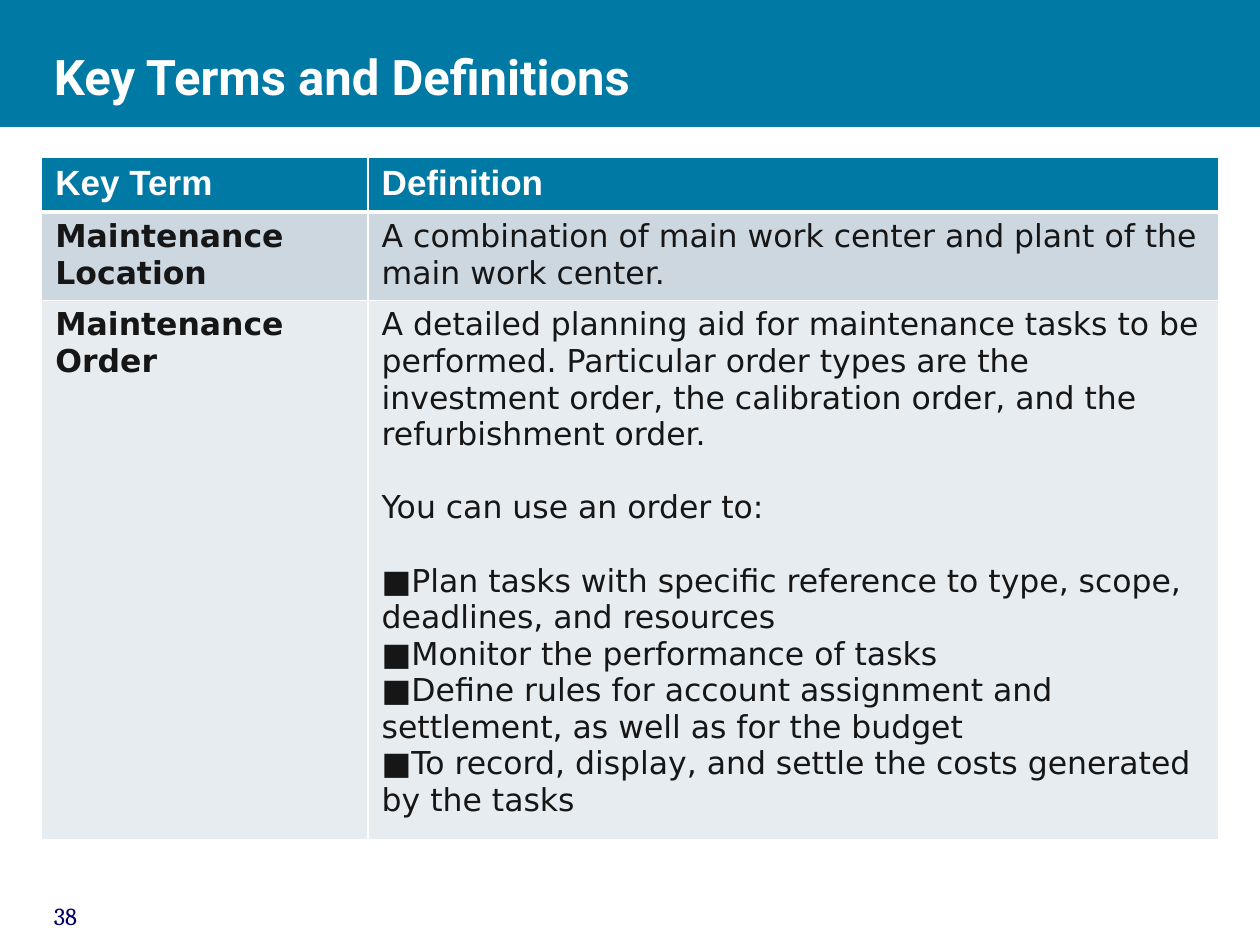
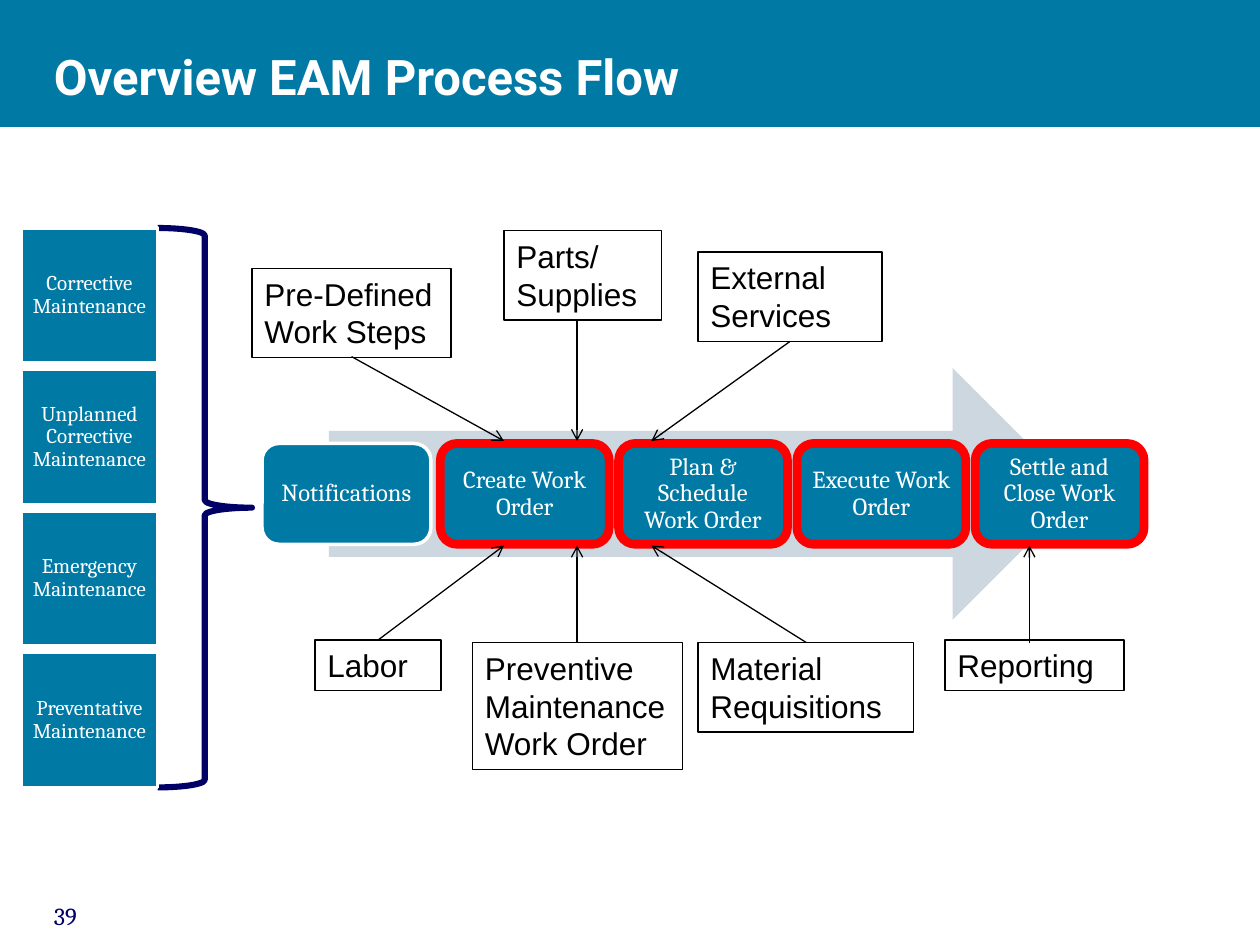
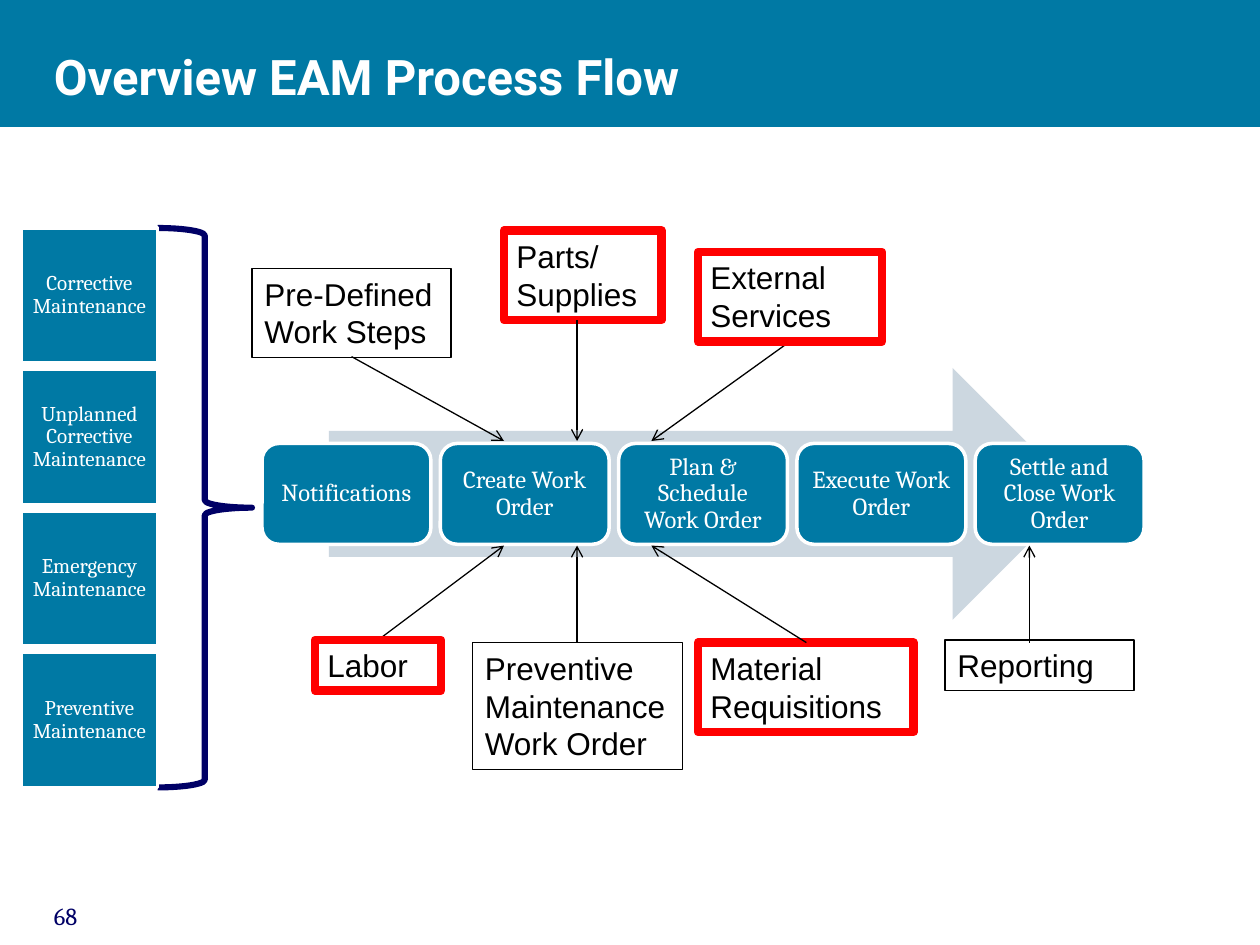
from dataclasses import dataclass

from lxml.etree import SubElement
from pptx import Presentation
from pptx.dml.color import RGBColor
from pptx.enum.shapes import MSO_CONNECTOR, MSO_SHAPE
from pptx.enum.text import MSO_ANCHOR, PP_ALIGN
from pptx.oxml.ns import qn
from pptx.shapes.autoshape import Shape
from pptx.slide import Slide
from pptx.table import _Cell
from pptx.text.text import TextFrame
from pptx.util import Inches, Pt

TEAL = RGBColor(0x00, 0x79, 0xA4)
PALE = RGBColor(0xCC, 0xD7, 0xE0)
MIST = RGBColor(0xE7, 0xEC, 0xF0)
NAVY = RGBColor(0x00, 0x00, 0x66)
RED = RGBColor(0xFF, 0x00, 0x00)
INK = RGBColor(0x16, 0x16, 0x16)
BLACK = RGBColor(0x00, 0x00, 0x00)
WHITE = RGBColor(0xFF, 0xFF, 0xFF)


@dataclass(frozen=True)
class Look:
    """Type style of a text."""
    name: str
    size: float
    color: RGBColor
    bold: bool = False


@dataclass(frozen=True)
class Box:
    """Place of a shape in inches."""
    left: float
    top: float
    width: float
    height: float

    def emu(self) -> list[int]:
        """Give the four lengths for python-pptx."""
        return [Inches(n) for n in (self.left, self.top, self.width, self.height)]


@dataclass(frozen=True)
class Label:
    """Boxed input or output with its arrow."""
    text: str
    box: Box
    start: tuple[float, float]
    end: tuple[float, float]
    over: bool = False


@dataclass(frozen=True)
class Flow:
    """What differs between the process slides."""
    page: int
    last: str
    hot: frozenset[str]
    report: float


TITLE = Look("Roboto", 28, WHITE, True)
PAGE = Look("Cambria", 14, NAVY)
STEP = Look("Cambria", 14, WHITE)
KIND = Look("Cambria", 12, WHITE)
NOTE = Look("Arial", 18, BLACK)
HEAD = Look("Arial", 20, WHITE, True)
TERM = Look("DejaVu Sans", 18, INK, True)
BODY = Look("DejaVu Sans", 18, INK)

STEPS = ["Notifications", "Create Work Order", "Plan & Schedule Work Order",
         "Execute Work Order", "Settle and Close Work Order"]
KINDS = ["Corrective Maintenance", "Unplanned Corrective Maintenance",
         "Emergency Maintenance"]
HIGH, LOW = 3.5, 4.33
FLOWS = [
    Flow(39, "Preventative Maintenance", frozenset(STEPS[1:]), 1.42),
    Flow(68, "Preventive Maintenance",
         frozenset(["Labor", "Parts/ Supplies", "External Services",
                    "Material Requisitions"]), 1.5),
]
ROWS = [
    ("Maintenance Location",
     ["A combination of main work center and plant of the main work center."]),
    ("Maintenance Order",
     ["A detailed planning aid for maintenance tasks to be performed. Particular "
      "order types are the investment order, the calibration order, and the "
      "refurbishment order.",
      "You can use an order to:",
      "■Plan tasks with specific reference to type, scope, deadlines, and resources",
      "■Monitor the performance of tasks",
      "■Define rules for account assignment and settlement, as well as for the budget",
      "■To record, display, and settle the costs generated by the tasks"]),
]


def write(frame: TextFrame, lines: list[str], look: Look, align=PP_ALIGN.LEFT,
          space: float = 1.0, gaps: tuple[int, ...] = ()) -> None:
    """Fill a frame, with a line of space before the paragraphs in gaps."""
    for i, line in enumerate(lines):
        para = frame.paragraphs[0] if i == 0 else frame.add_paragraph()
        para.text = line
        form = {"alignment": align, "line_spacing": space}
        if i in gaps:
            form["space_before"] = Pt(21)
        for key, value in form.items():
            setattr(para, key, value)
        font = para.runs[0].font
        for key, value in {"name": look.name, "size": Pt(look.size),
                           "bold": look.bold}.items():
            setattr(font, key, value)
        font.color.rgb = look.color


def fit(frame: TextFrame, anchor: MSO_ANCHOR, pad: float | None = None) -> None:
    """Set wrap, anchor and equal margins."""
    form = {"word_wrap": True, "vertical_anchor": anchor}
    if pad is not None:
        sides = ("left", "top", "right", "bottom")
        form |= {f"margin_{side}": Inches(pad) for side in sides}
    for key, value in form.items():
        setattr(frame, key, value)


def draw(slide: Slide, kind: MSO_SHAPE, box: Box, fill: RGBColor | None = None,
         line: RGBColor | None = None, width: float = 0.75) -> Shape:
    """Add a flat preset shape."""
    shape = slide.shapes.add_shape(kind, *box.emu())
    shape.shadow.inherit = False
    if fill is None:
        shape.fill.background()
    else:
        shape.fill.solid()
        shape.fill.fore_color.rgb = fill
    if line is None:
        shape.line.fill.background()
    else:
        shape.line.color.rgb = line
        shape.line.width = Pt(width)
    return shape


def tile(slide: Slide, kind: MSO_SHAPE, box: Box, text: str, look: Look,
         pad: float, hot: bool = False) -> None:
    """Add a teal tile with centred text."""
    edge = (RED, 5) if hot else (WHITE, 2)
    frame = draw(slide, kind, box, TEAL, *edge).text_frame
    fit(frame, MSO_ANCHOR.MIDDLE, pad)
    write(frame, [text], look, PP_ALIGN.CENTER, 0.9)


def arrow(slide: Slide, label: Label) -> None:
    """Add the arrow of a label."""
    ends = [Inches(n) for n in (*label.start, *label.end)]
    link = slide.shapes.add_connector(MSO_CONNECTOR.STRAIGHT, *ends)
    link.line.color.rgb = BLACK
    link.line.width = Pt(0.75)
    SubElement(link.line._get_or_add_ln(), qn("a:tailEnd"), type="arrow")
    SubElement(link._element.spPr, qn("a:effectLst"))


def card(slide: Slide, label: Label, hot: bool) -> None:
    """Add a label box with its arrow above or below it."""
    if not label.over:
        arrow(slide, label)
    edge = (RED, 5) if hot else (BLACK, 0.75)
    frame = draw(slide, MSO_SHAPE.RECTANGLE, label.box, None, *edge).text_frame
    fit(frame, MSO_ANCHOR.TOP)
    write(frame, [label.text], NOTE)
    if label.over:
        arrow(slide, label)


def plain(slide: Slide, box: Box, text: str, look: Look, anchor: MSO_ANCHOR) -> None:
    """Add a text box."""
    frame = slide.shapes.add_textbox(*box.emu()).text_frame
    fit(frame, anchor)
    write(frame, [text], look)


def start(deck: Presentation, title: str, page: int) -> Slide:
    """Add a slide with band, title and page number."""
    slide = deck.slides.add_slide(deck.slide_layouts[6])
    slide.background.fill.solid()
    slide.background.fill.fore_color.rgb = WHITE
    draw(slide, MSO_SHAPE.RECTANGLE, Box(0, 0, 10, 1), TEAL, TEAL)
    plain(slide, Box(0.33, 0.25, 9.31, 0.7), title, TITLE, MSO_ANCHOR.MIDDLE)
    plain(slide, Box(0.33, 7.1, 2.5, 0.33), str(page), PAGE, MSO_ANCHOR.TOP)
    return slide


def cell(spot: _Cell, lines: list[str], look: Look, fill: RGBColor,
         edges: dict[str, float], gaps: tuple[int, ...] = ()) -> None:
    """Fill a table cell and give it white borders."""
    for key, value in {"margin_left": 0.11, "margin_right": 0.11,
                       "margin_top": 0.05, "margin_bottom": 0.05}.items():
        setattr(spot, key, Inches(value))
    props = spot._tc.get_or_add_tcPr()
    for side, width in edges.items():
        line = SubElement(props, qn(f"a:ln{side}"), w=str(Pt(width)))
        paint = SubElement(line, qn("a:solidFill"))
        SubElement(paint, qn("a:srgbClr"), val=str(WHITE))
    spot.fill.solid()
    spot.fill.fore_color.rgb = fill
    write(spot.text_frame, lines, look, gaps=gaps)


def terms(deck: Presentation) -> None:
    """Build the slide of key terms."""
    slide = start(deck, "Key Terms and Definitions", 38)
    place = Box(0.33, 1.25, 9.34, 5.24)
    grid = slide.shapes.add_table(3, 2, *place.emu()).table
    for col, width in zip(grid.columns, (2.59, 6.75)):
        col.width = Inches(width)
    for row, height in zip(grid.rows, (0.41, 0.67, 4.16)):
        row.height = Inches(height)
    thin = {"L": 1, "R": 1, "T": 1, "B": 1}
    for j, text in enumerate(("Key Term", "Definition")):
        cell(grid.cell(0, j), [text], HEAD, TEAL, thin | {"B": 3})
    for i, (term, lines) in enumerate(ROWS, 1):
        fill, edges = (PALE, thin | {"T": 3}) if i == 1 else (MIST, thin)
        cell(grid.cell(i, 0), [term], TERM, fill, edges)
        cell(grid.cell(i, 1), lines, BODY, fill, edges, (1, 2))


def labels(report: float) -> list[Label]:
    """List the labels around the process arrow."""
    return [
        Label("Labor", Box(2.5, 5.08, 1, 0.4), (3, 5.08), (4, LOW)),
        Label("Preventive Maintenance Work Order", Box(3.75, 5.1, 1.67, 1.01),
              (4.58, 5.1), (4.58, LOW), True),
        Label("Pre-Defined Work Steps", Box(2, 2.13, 1.58, 0.71),
              (2.79, 2.83), (4, HIGH)),
        Label("Parts/ Supplies", Box(4, 1.83, 1.25, 0.71),
              (4.58, 2.54), (4.58, HIGH), True),
        Label("External Services", Box(5.54, 2, 1.46, 0.71),
              (6.27, 2.71), (5.17, HIGH)),
        Label("Material Requisitions", Box(5.54, 5.1, 1.71, 0.71),
              (6.4, 5.1), (5.17, LOW), True),
        Label("Reporting", Box(7.5, 5.08, report, 0.4), (8.17, 5.1), (8.17, LOW)),
    ]


def process(deck: Presentation, flow: Flow) -> None:
    """Build a process flow slide."""
    slide = start(deck, "Overview EAM Process Flow", flow.page)
    draw(slide, MSO_SHAPE.RIGHT_ARROW, Box(2.61, 2.92, 5.95, 2), PALE)
    pitch = (7.74 - 2.08) / (len(STEPS) - 1)
    for i, text in enumerate(STEPS):
        tile(slide, MSO_SHAPE.ROUNDED_RECTANGLE,
             Box(2.08 + i * pitch, 3.52, 1.34, 0.8), text, STEP, 0.06,
             text in flow.hot)
    for label in labels(flow.report):
        card(slide, label, label.text in flow.hot)
    brace = draw(slide, MSO_SHAPE.RIGHT_BRACE, Box(1.25, 1.81, 0.75, 4.44),
                 None, NAVY, 3.5)
    brace.adjustments[0] = 0.08
    brace.adjustments[1] = 0.5
    pitch = (5.18 - 1.81) / len(KINDS)
    for i, text in enumerate([*KINDS, flow.last]):
        tile(slide, MSO_SHAPE.RECTANGLE, Box(0.17, 1.81 + i * pitch, 1.08, 1.07),
             text, KIND, 0.03)


def main() -> None:
    """Build and save the deck."""
    deck = Presentation()
    deck.slide_width, deck.slide_height = Inches(10), Inches(7.5)
    terms(deck)
    for flow in FLOWS:
        process(deck, flow)
    deck.save("out.pptx")


if __name__ == "__main__":
    main()
